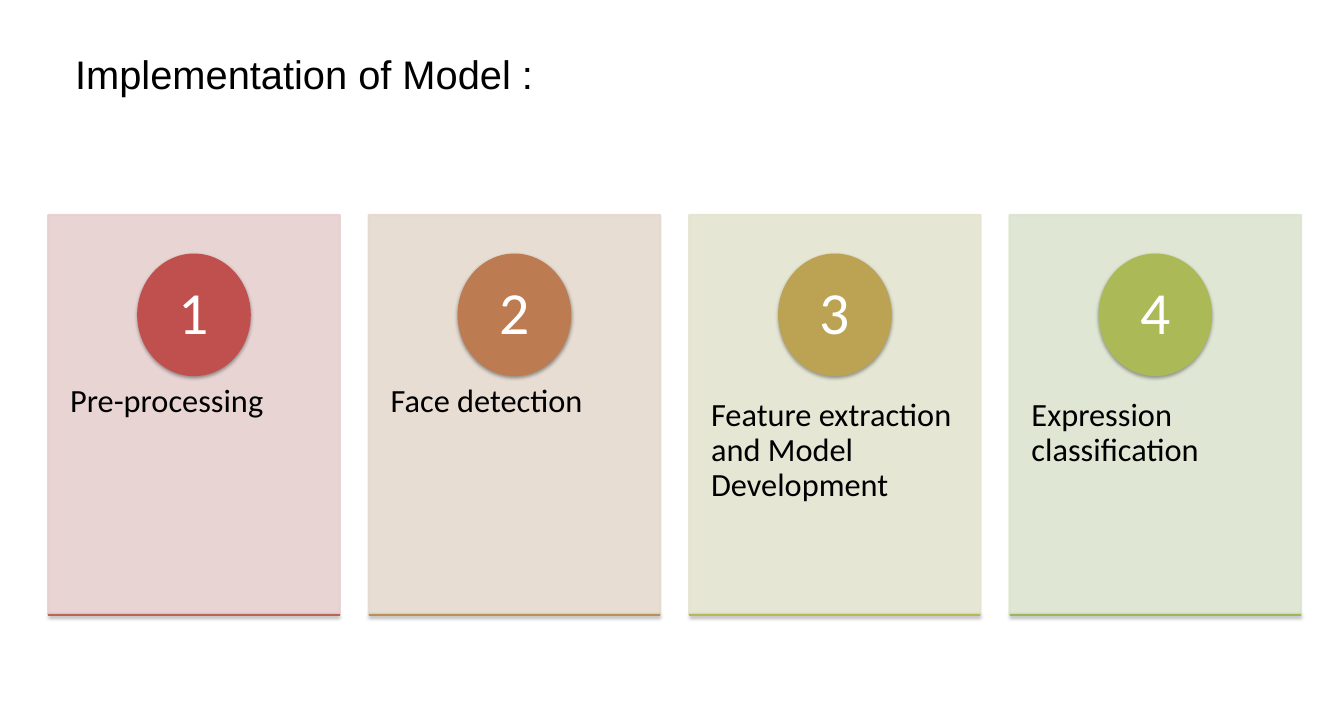
from lxml import etree
from pptx import Presentation
from pptx import util as u
from pptx.dml.color import RGBColor
from pptx.enum import shapes, text
from pptx.oxml import ns

Pt = u.Pt
COLOURS = {"ink": "000000", "number": "FFFFFF", "shadow": "000000"}
STEPS = [
    ("Pre-processing", {"panel": "E7CFCF", "badge": "BF504D", "base": "BD654E"}),
    ("Face detection", {"panel": "E5D9CE", "badge": "BC7B50", "base": "BB9052"}),
    ("Feature extraction and Model Development",
     {"panel": "E4E4CF", "badge": "BBA353", "base": "BAB655"}),
    ("Expression classification",
     {"panel": "DCE4CF", "badge": "ACB957", "base": "99B958"}),
]


def rgb(colour):
    return RGBColor.from_string(colour)


def add_shadow(part):
    effects = etree.SubElement(part._element.spPr, ns.qn("a:effectLst"))
    shadow = etree.SubElement(
        effects, ns.qn("a:outerShdw"), blurRad=str(Pt(3.1)),
        dist=str(Pt(1.6)), dir="5400000", rotWithShape="0")
    tint = etree.SubElement(shadow, ns.qn("a:srgbClr"), val=COLOURS["shadow"])
    etree.SubElement(tint, ns.qn("a:alpha"), val="37000")


def make_translucent(part):
    for tint in part._element.spPr.iter(ns.qn("a:srgbClr")):
        etree.SubElement(tint, ns.qn("a:alpha"), val="89000")


def add_filled(slide, kind, box, colour):
    part = slide.shapes.add_shape(kind, *map(Pt, box))
    part.fill.solid()
    part.fill.fore_color.rgb = rgb(colour)
    part.line.color.rgb = rgb(colour)
    part.line.width = Pt(2)
    return part


def write(part, words, size, font, colour, insets, spacing=None,
          align=text.PP_ALIGN.LEFT, anchor=text.MSO_ANCHOR.TOP):
    frame = part.text_frame
    frame.word_wrap = True
    frame.vertical_anchor = anchor
    frame.margin_left = frame.margin_right = Pt(insets[0])
    frame.margin_top = frame.margin_bottom = Pt(insets[1])
    frame.text = words
    paragraph = frame.paragraphs[0]
    paragraph.alignment = align
    paragraph.line_spacing = spacing
    run = paragraph.runs[0]
    run.font.size = Pt(size)
    run.font.name = font
    run.font.color.rgb = rgb(colour)


def add_title(slide, box):
    title = slide.shapes.add_textbox(*map(Pt, box))
    write(title, "Implementation of Model :", 32, "Arial", COLOURS["ink"], (7.2, 3.6))


def add_step(slide, box, number, label, colours):
    left, top, width, height = box
    panel = add_filled(slide, shapes.MSO_SHAPE.RECTANGLE, box, colours["panel"])
    panel.shadow.inherit = False
    make_translucent(panel)

    caption = slide.shapes.add_textbox(
        Pt(left), Pt(top + 121.7), Pt(width), Pt(193))
    write(caption, label, 26, "Calibri", COLOURS["ink"], (17.5, 26), 0.9)

    badge_width, badge_height = 89.3, 96.5
    badge_box = (left + (width - badge_width) / 2, top + 31.9, badge_width, badge_height)
    badge = add_filled(slide, shapes.MSO_SHAPE.OVAL, badge_box, colours["badge"])
    add_shadow(badge)
    write(badge, str(number), 48, "Calibri", COLOURS["number"], (6.5, 0.9), 0.9,
          text.PP_ALIGN.CENTER, text.MSO_ANCHOR.MIDDLE)

    bottom = top + height
    base = slide.shapes.add_connector(
        shapes.MSO_CONNECTOR.STRAIGHT,
        Pt(left), Pt(bottom), Pt(left + width), Pt(bottom))
    base.line.color.rgb = rgb(colours["base"])
    base.line.width = Pt(2)
    add_shadow(base)


def add_steps(slide, box):
    left, top, width, height = box
    gap = 23.5
    step_width = (width - gap * (len(STEPS) - 1)) / len(STEPS)
    for index, (label, colours) in enumerate(STEPS):
        step_left = left + index * (step_width + gap)
        add_step(slide, (step_left, top, step_width, height), index + 1, label, colours)


def main():
    deck = Presentation()
    deck.slide_width, deck.slide_height = Pt(1080), Pt(576)
    slide = deck.slides.add_slide(deck.slide_layouts[6])
    add_title(slide, (53.3, 36, 540, 46))
    add_steps(slide, (38.9, 172.8, 1006.5, 321.1))
    deck.save("out.pptx")


if __name__ == "__main__":
    main()
